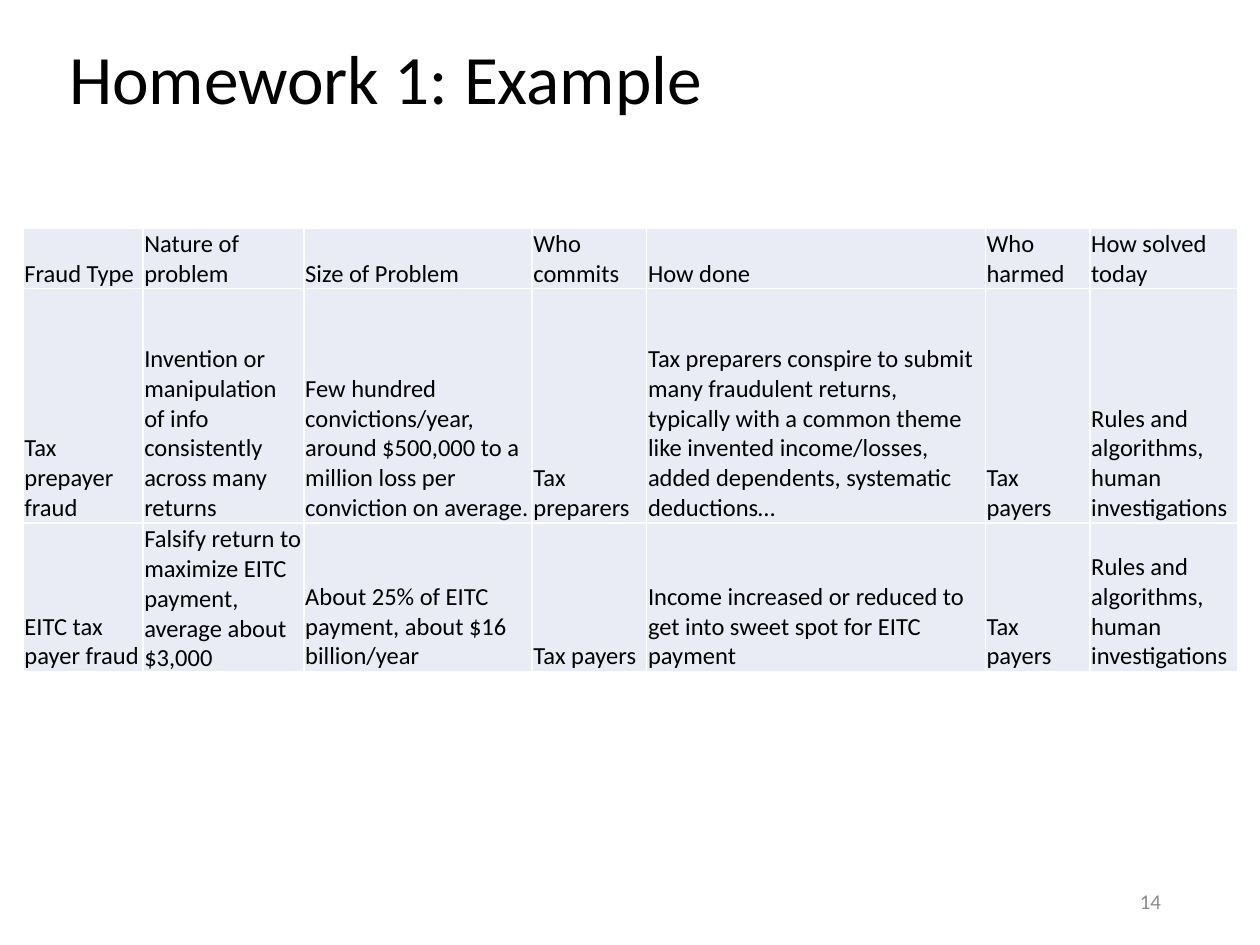
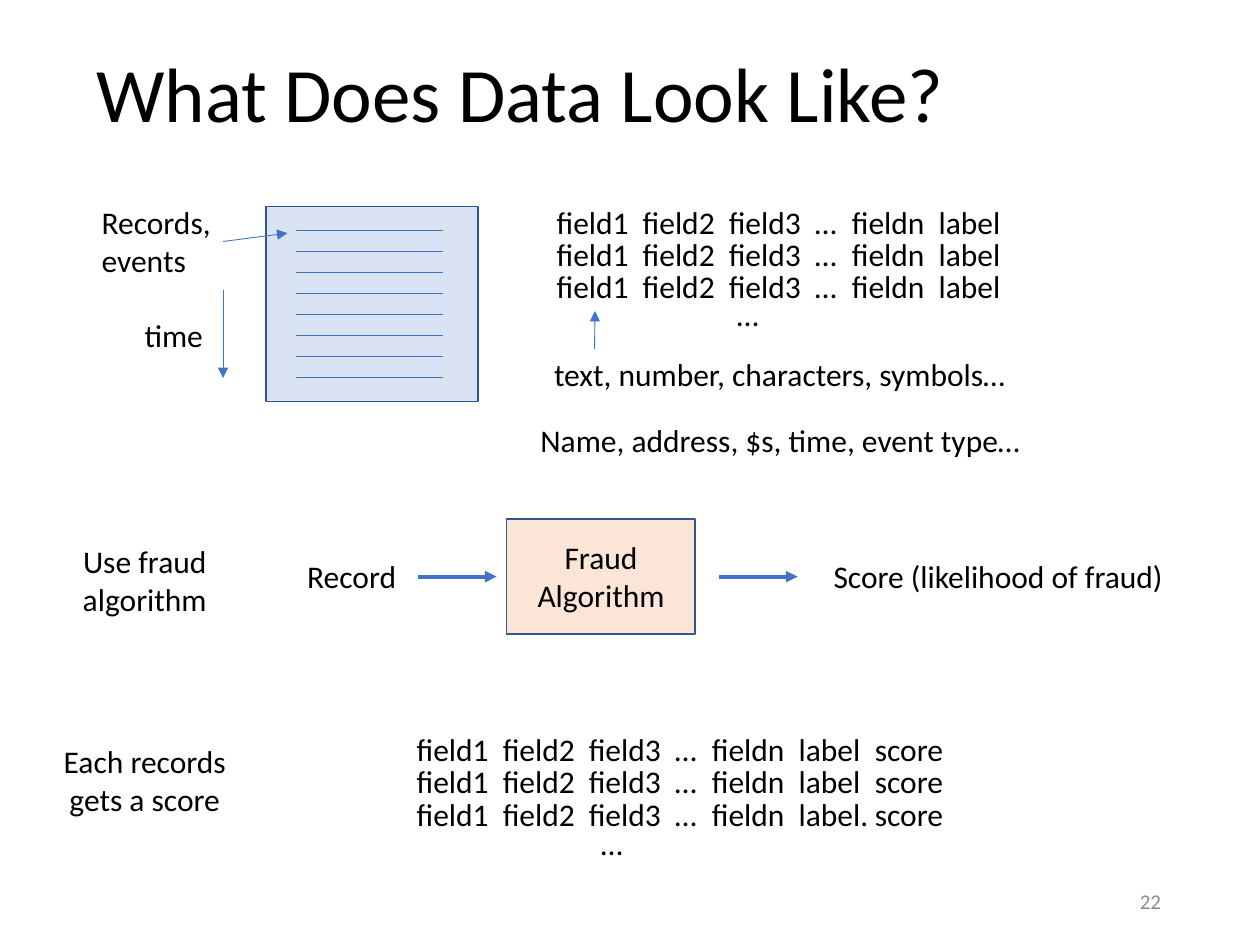
from dataclasses import dataclass

from lxml import etree
from pptx import Presentation
from pptx import util as u
from pptx.dml.color import RGBColor
from pptx.enum import shapes, text
from pptx.oxml import ns

Pt = u.Pt


@dataclass(frozen=True)
class Theme:
    font: str = "Calibri"
    ink: str = "000000"
    muted: str = "8C8C8C"
    paper: str = "FFFFFF"
    arrow: str = "4472C4"
    outline: str = "325491"
    cell: str = "E9EBF5"
    data: str = "DAE3F3"
    algorithm: str = "FBE5D6"
    title: float = 44
    small_title: float = 39.6
    body: float = 18
    table: float = 14
    footer: float = 12
    hairline: float = 0.5
    border: float = 1
    flow: float = 2.25


theme = Theme()
MIDDLE = text.MSO_ANCHOR.MIDDLE
CENTER = text.PP_ALIGN.CENTER


def write(frame, words, size=theme.body, color=theme.ink, align=text.PP_ALIGN.LEFT,
          anchor=text.MSO_ANCHOR.TOP, wrap=True, spacing=None, tabs=()):
    """Fill a text frame, one paragraph for each line of words."""
    frame.word_wrap = wrap
    frame.vertical_anchor = anchor
    for number, line in enumerate(words.split("\n")):
        paragraph = frame.add_paragraph() if number else frame.paragraphs[0]
        paragraph.alignment = align
        if spacing:
            paragraph.line_spacing = spacing
        if tabs:
            stops = etree.SubElement(paragraph._p.get_or_add_pPr(), ns.qn("a:tabLst"))
            for stop in tabs:
                etree.SubElement(stops, ns.qn("a:tab"), pos=str(Pt(stop)), algn="l")
        run = paragraph.add_run()
        run.text = line
        run.font.name = theme.font
        run.font.size = Pt(size)
        run.font.color.rgb = RGBColor.from_string(color)


def connect(slide, start, end, width=theme.hairline, arrow=True):
    """Draw a straight line, with an arrowhead at its end if wanted."""
    line = slide.shapes.add_connector(
        shapes.MSO_CONNECTOR.STRAIGHT, *[Pt(v) for v in (*start, *end)])
    line.line.color.rgb = RGBColor.from_string(theme.arrow)
    line.line.width = Pt(width)
    if arrow:
        etree.SubElement(line.line._get_or_add_ln(), ns.qn("a:tailEnd"), type="triangle")
    etree.SubElement(line._element.spPr, ns.qn("a:effectLst"))


deck = Presentation()
deck.slide_width, deck.slide_height = Pt(720), Pt(540)

# Both slides: title and page number
pages = []
for title, place, size, number in (
        ("Homework 1: Example", (32.4, 15.5, 667.5, 62.5), theme.small_title, "14"),
        ("What Does Data Look Like?", (48, 3.5, 620.5, 104.5), theme.title, "22")):
    page = deck.slides.add_slide(deck.slide_layouts[6])
    heading = page.shapes.add_textbox(*[Pt(v) for v in place])
    write(heading.text_frame, title, size=size, anchor=MIDDLE, spacing=0.9)
    footer = page.shapes.add_textbox(Pt(508.5), Pt(500.5), Pt(162), Pt(28.75))
    write(footer.text_frame, number, size=theme.footer, color=theme.muted,
          align=text.PP_ALIGN.RIGHT, anchor=MIDDLE)
    pages.append(page)
homework, data_page = pages

# Homework: fraud table
fraud_rows = (
    ("Fraud Type", "Nature of problem", "Size of Problem", "Who commits", "How done",
     "Who harmed", "How solved today"),
    ("Tax prepayer fraud",
     "Invention or manipulation of info consistently across many returns",
     "Few hundred convictions/year, around $500,000 to a million loss per conviction "
     "on average.",
     "Tax preparers",
     "Tax preparers conspire to submit many fraudulent returns, typically with a common "
     "theme like invented income/losses, added dependents, systematic deductions…",
     "Tax payers", "Rules and algorithms, human investigations"),
    ("EITC tax payer fraud",
     "Falsify return to maximize EITC payment, average about $3,000",
     "About 25% of EITC payment, about $16 billion/year",
     "Tax payers",
     "Income increased or reduced to get into sweet spot for EITC payment",
     "Tax payers", "Rules and algorithms, human investigations"),
)
column_widths = (68.5, 92, 130.4, 65.5, 193.5, 59.8, 84.3)
row_heights = (19.5, 134, 76.5)
fraud_table = homework.shapes.add_table(
    len(row_heights), len(column_widths), Pt(13.2), Pt(130.5),
    Pt(sum(column_widths)), Pt(sum(row_heights))).table
fraud_table.first_row = fraud_table.horz_banding = False
for column, width in zip(fraud_table.columns, column_widths):
    column.width = Pt(width)
for row, height, entries in zip(fraud_table.rows, row_heights, fraud_rows):
    row.height = Pt(height)
    for cell, entry in zip(row.cells, entries):
        cell.margin_left = cell.margin_right = cell.margin_top = Pt(0.75)
        cell.margin_bottom = 0
        write(cell.text_frame, entry, size=theme.table)
        cell.vertical_anchor = text.MSO_ANCHOR.BOTTOM
        properties = cell._tc.get_or_add_tcPr()
        for side in ("a:lnL", "a:lnR", "a:lnT", "a:lnB"):
            edge = etree.SubElement(properties, ns.qn(side), w=str(Pt(theme.border)))
            paint = etree.SubElement(edge, ns.qn("a:solidFill"))
            etree.SubElement(paint, ns.qn("a:srgbClr"), val=theme.paper)
        cell.fill.solid()
        cell.fill.fore_color.rgb = RGBColor.from_string(theme.cell)

# Data: the data file and the algorithm box
for place, color in (((152, 118, 121, 111.5), theme.data),
                     ((289.5, 296.5, 107.5, 66), theme.algorithm)):
    box = data_page.shapes.add_shape(
        shapes.MSO_SHAPE.RECTANGLE, *[Pt(v) for v in place])
    box.shadow.inherit = False
    box.fill.solid()
    box.fill.fore_color.rgb = RGBColor.from_string(color)
    box.line.color.rgb = RGBColor.from_string(theme.outline)
    box.line.width = Pt(theme.border)

# Data: records as evenly spaced lines in the file
for record in range(8):
    record_y = 131.6 + 12 * record
    connect(data_page, (169, record_y), (253.25, record_y), arrow=False)

# Data: labels
for words, place, style in (
        ("Records, events", (51, 112.5, 81.5, 51), {}),
        ("time", (75.5, 177, 48.5, 29), {"wrap": False}),
        ("…", (414, 165, 24, 29), {}),
        ("text, number, characters, symbols…", (309.5, 199.5, 278, 29), {"wrap": False}),
        ("Name, address, $s, time, event type…", (301.75, 237, 293, 29), {"wrap": False}),
        ("Use fraud algorithm", (18.75, 306, 128, 51), {"align": CENTER}),
        ("Record", (168.5, 314.75, 66, 29), {"wrap": False}),
        ("Fraud\nAlgorithm", (299.5, 303.75, 88, 51), {"align": CENTER, "wrap": False}),
        ("Score (likelihood of fraud)", (469.25, 314.75, 205, 29), {"wrap": False}),
        ("Each records gets a score", (18.75, 420.5, 128, 51), {"align": CENTER}),
        ("…", (336.25, 467.25, 24, 29), {})):
    label = data_page.shapes.add_textbox(*[Pt(v) for v in place])
    write(label.text_frame, words, **style)

# Data: field rows, before and after scoring
field_tabs = (49.2, 98.4, 147.6, 168.7, 218.3, 261.8)
fields = "field1\tfield2\tfield3\t…\tfieldn\tlabel"
for left, top, width, endings in (
        (311, 112.5, 275, ("", "", "")),
        (231, 413.75, 320, ("\tscore", "\tscore", ".\tscore"))):
    for line, ending in enumerate(endings):
        field_row = data_page.shapes.add_textbox(
            Pt(left), Pt(top + 18.4 * line), Pt(width), Pt(29))
        write(field_row.text_frame, fields + ending, tabs=field_tabs)

# Data: arrows
for start, end, width in (
        ((127.5, 138), (164.25, 133.25), theme.hairline),
        ((127.5, 165.75), (127.5, 216), theme.hairline),
        ((339.75, 199.5), (340, 177.75), theme.hairline),
        ((239, 329.5), (283.75, 329.5), theme.flow),
        ((411, 329.5), (455.75, 329.5), theme.flow)):
    connect(data_page, start, end, width)

deck.save("out.pptx")
